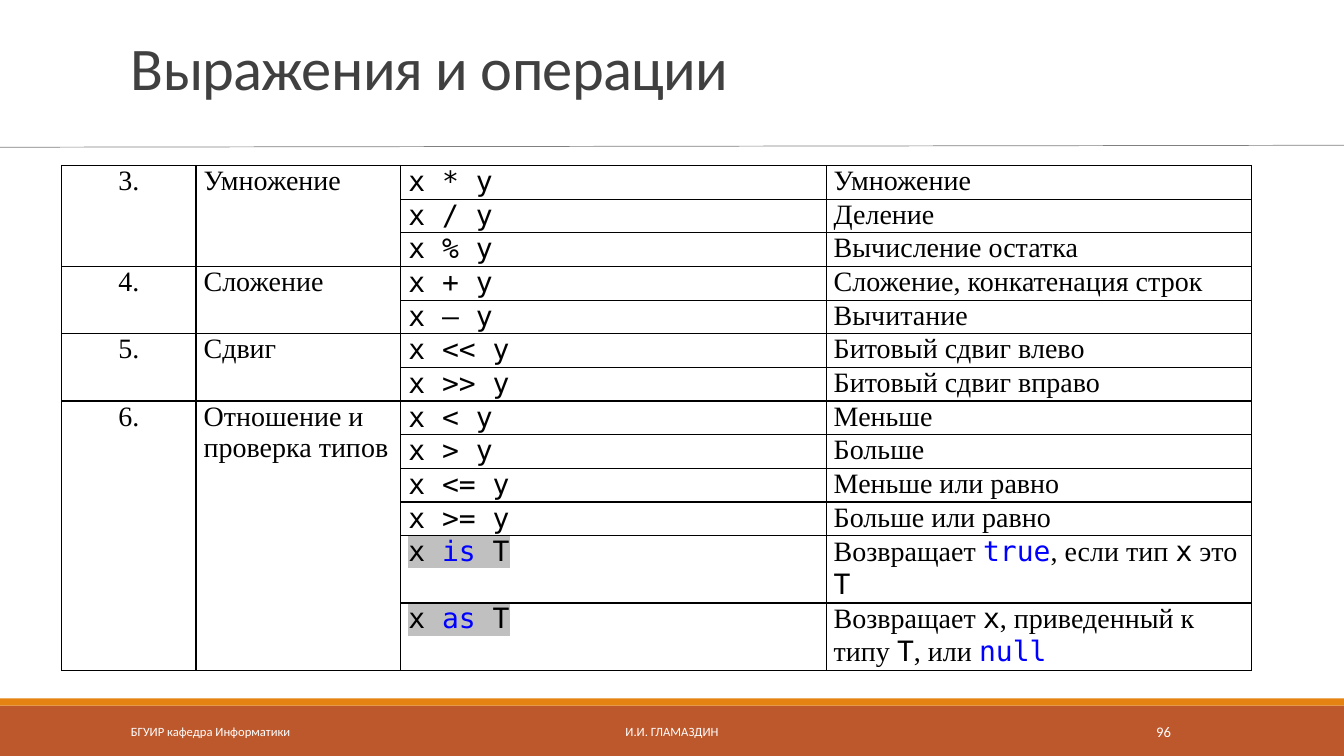
from lxml.etree import SubElement
from pptx import Presentation
from pptx.dml.color import RGBColor
from pptx.enum.shapes import MSO_CONNECTOR, MSO_SHAPE
from pptx.enum.text import MSO_ANCHOR, PP_ALIGN
from pptx.oxml import parse_xml
from pptx.oxml.ns import nsdecls, qn
from pptx.util import Cm, Pt

COLORS = {
    "title": "404040", "rule": "808080", "band": "BD582C", "stripe": "E48312",
    "white": "FFFFFF", "black": "000000", "keyword": "0000FF", "mark": "C0C0C0",
}
SANS, SERIF, MONO = "Calibri", "Times New Roman", "DejaVu Sans Mono"

# Run styles in the table: font and colour
STYLES = {"text": (SERIF, "black"), "code": (MONO, "black"), "key": (MONO, "keyword")}

COL_WIDTHS = (3.38, 5.16, 10.72, 10.72)
LINE_HEIGHT = 0.82


def code(text):
    return [("code", text)]


def words(text):
    return [("text", text)]


# Number, group name, and pairs of expression and meaning
GROUPS = [
    ("3.", "Умножение", [
        (code("x * y"), words("Умножение")),
        (code("x / y"), words("Деление")),
        (code("x % y"), words("Вычисление остатка")),
    ]),
    ("4.", "Сложение", [
        (code("x + y"), words("Сложение, конкатенация строк")),
        (code("x – y"), words("Вычитание")),
    ]),
    ("5.", "Сдвиг", [
        (code("x << y"), words("Битовый сдвиг влево")),
        (code("x >> y"), words("Битовый сдвиг вправо")),
    ]),
    ("6.", "Отношение и проверка типов", [
        (code("x < y"), words("Меньше")),
        (code("x > y"), words("Больше")),
        (code("x <= y"), words("Меньше или равно")),
        (code("x >= y"), words("Больше или равно")),
        ([("code", "x "), ("key", "is"), ("code", " T")],
         [("text", "Возвращает "), ("key", "true"), ("text", ", если тип "),
          ("code", "x"), ("text", " это "), ("code", "T")]),
        ([("code", "x "), ("key", "as"), ("code", " T")],
         [("text", "Возвращает "), ("code", "x"), ("text", ", приведенный к типу "),
          ("code", "T"), ("text", ", или "), ("key", "null")]),
    ]),
]


def rgb(name):
    return RGBColor.from_string(COLORS[name])


def add_band(s, top, height, color):
    sp = s.shapes.add_shape(MSO_SHAPE.RECTANGLE, 0, Cm(top), Cm(33.87), Cm(height))
    sp.shadow.inherit = False
    sp.fill.solid()
    sp.fill.fore_color.rgb = rgb(color)
    sp.line.fill.background()


def add_rule(s):
    line = s.shapes.add_connector(MSO_CONNECTOR.STRAIGHT, 0, Cm(3.71), Cm(33.96), Cm(3.66))
    line.line.color.rgb = rgb("rule")
    line.line.width = Pt(0.5)
    SubElement(line._element.spPr, qn("a:effectLst"))


def add_text(s, box, text, size, color, align=PP_ALIGN.LEFT, anchor=MSO_ANCHOR.MIDDLE):
    tf = s.shapes.add_textbox(*(Cm(v) for v in box)).text_frame
    tf.word_wrap = True
    tf.vertical_anchor = anchor
    p = tf.paragraphs[0]
    p.text = text
    p.alignment = align
    p.font.name, p.font.size = SANS, Pt(size)
    p.font.color.rgb = rgb(color)
    return p


def add_highlight(r):
    fill = r._r.rPr.find(qn("a:solidFill"))
    fill.addnext(parse_xml(
        f'<a:highlight {nsdecls("a")}><a:srgbClr val="{COLORS["mark"]}"/></a:highlight>'))


def fill_cell(cell, runs, align=PP_ALIGN.LEFT, marked=False):
    p = cell.text_frame.paragraphs[0]
    p.alignment = align
    p.font.size = Pt(20)
    for style, text in runs:
        font, color = STYLES[style]
        r = p.add_run()
        r.text = text
        r.font.name, r.font.size = font, Pt(20)
        r.font.color.rgb = rgb(color)
        if marked:
            add_highlight(r)


def format_cell(cell):
    cell.margin_left = cell.margin_right = Cm(0.19)
    cell.margin_top = cell.margin_bottom = 0
    cell.fill.background()
    for i, side in enumerate(("lnL", "lnR", "lnT", "lnB")):
        cell._tc.tcPr.insert(i, parse_xml(
            f'<a:{side} {nsdecls("a")} w="12700"><a:solidFill>'
            f'<a:srgbClr val="{COLORS["black"]}"/></a:solidFill></a:{side}>'))


def add_operations(s):
    rows = sum(len(pairs) for _, _, pairs in GROUPS)
    table = s.shapes.add_table(rows, len(COL_WIDTHS), Cm(1.56), Cm(4.17),
                               Cm(sum(COL_WIDTHS)), Cm(LINE_HEIGHT * rows)).table
    table.first_row = table.horz_banding = False
    for column, width in zip(table.columns, COL_WIDTHS):
        column.width = Cm(width)
    for cell in table.iter_cells():
        format_cell(cell)

    top = 0
    for number, name, pairs in GROUPS:
        for col in (0, 1):
            table.cell(top, col).merge(table.cell(top + len(pairs) - 1, col))
        fill_cell(table.cell(top, 0), words(number), PP_ALIGN.CENTER)
        fill_cell(table.cell(top, 1), words(name))
        for row, (expression, meaning) in enumerate(pairs, top):
            # Expressions with a keyword are marked, and their meaning takes two lines
            has_keyword = len(expression) > 1
            table.rows[row].height = Cm(LINE_HEIGHT * (2 if has_keyword else 1))
            fill_cell(table.cell(row, 2), expression, marked=has_keyword)
            fill_cell(table.cell(row, 3), meaning)
        top += len(pairs)


def main():
    prs = Presentation()
    prs.slide_width, prs.slide_height = Cm(33.87), Cm(19.05)
    s = prs.slides.add_slide(prs.slide_layouts[6])

    # Background bands and rule
    add_band(s, 17.78, 1.27, "band")
    add_band(s, 17.6, 0.18, "stripe")
    add_rule(s)

    # Title
    title = add_text(s, (3.05, 0.79, 27.94, 1.93), "Выражения и операции", 43.2, "title",
                     anchor=MSO_ANCHOR.BOTTOM)
    title.line_spacing = 0.85
    title.runs[0].font._element.set("spc", "-50")

    add_operations(s)

    # Footer
    add_text(s, (10.24, 17.93, 13.39, 1.02), "И.И. ГЛАМАЗДИН", 9, "white", PP_ALIGN.CENTER)
    add_text(s, (3.05, 17.93, 6.86, 1.02), "БГУИР кафедра Информатики", 9, "white")
    add_text(s, (27.51, 17.93, 3.63, 1.02), "96", 10.5, "white", PP_ALIGN.CENTER)

    prs.save("out.pptx")


if __name__ == "__main__":
    main()
